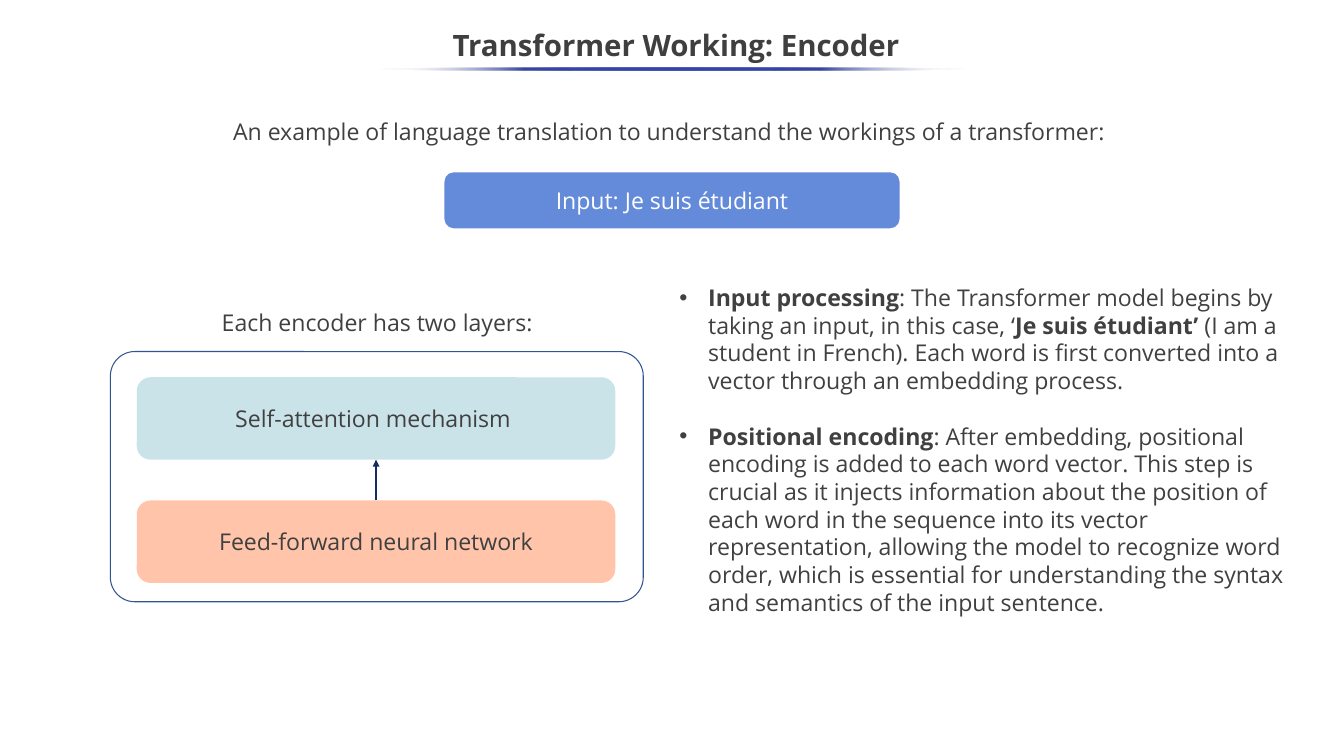
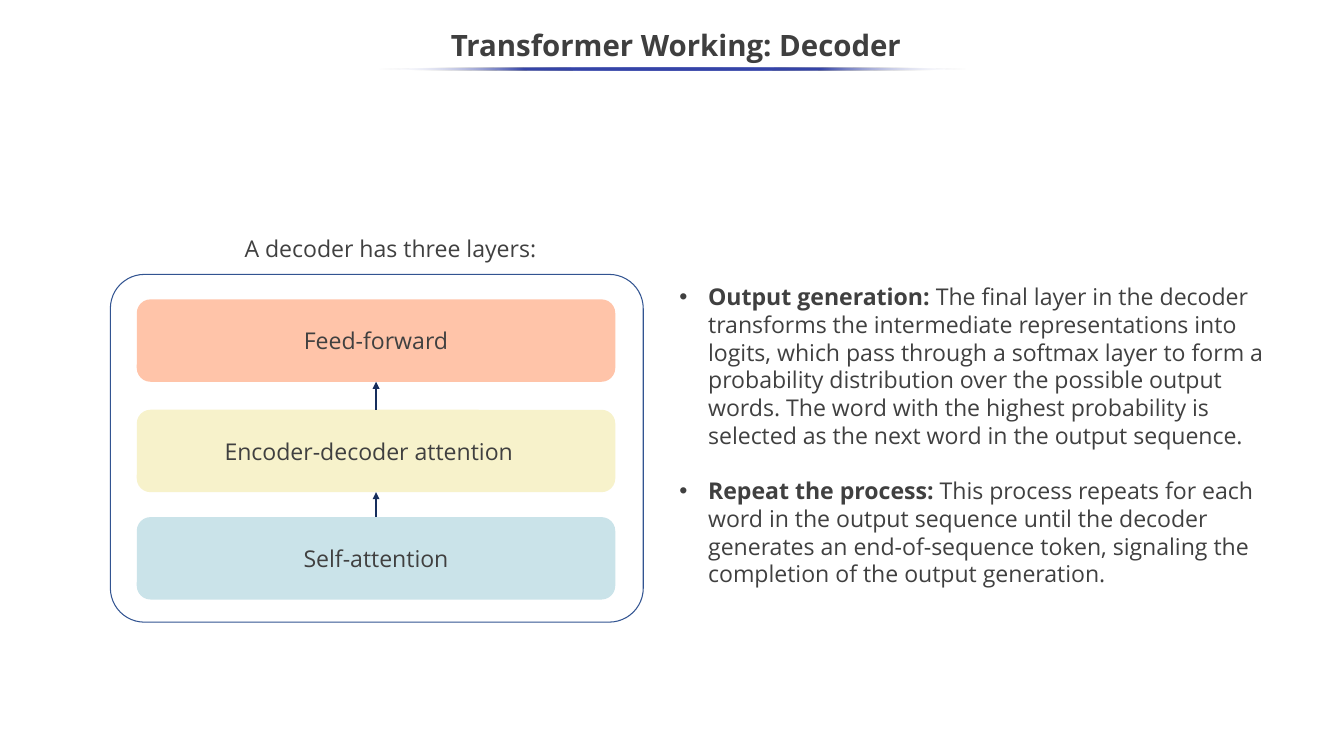
from dataclasses import dataclass

from lxml import etree
from pptx import Presentation
from pptx.dml.color import RGBColor
from pptx.enum import shapes, text
from pptx.oxml import ns, parse_xml
from pptx.util import Inches, Pt


@dataclass(frozen=True)
class Theme:
    font: str = "Open Sans"
    title_size: float = 28
    body_size: float = 22
    paragraph_gap: float = 26.4
    title: str = "3F3F3F"
    body: str = "404040"
    white: str = "FFFFFF"
    underline: str = "3645A9"
    input_fill: str = "648BDA"
    attention: str = "CAE3E9"
    feed_forward: str = "FFC4A9"
    cross_attention: str = "F7F2CB"
    panel_line: str = "325491"
    arrow: str = "162E5D"


THEME = Theme()
CENTER = text.PP_ALIGN.CENTER
MIDDLE = text.MSO_ANCHOR.MIDDLE
TOP = text.MSO_ANCHOR.TOP
LAYER_INSET, LAYER_WIDTH, LAYER_HEIGHT = 0.35, 6.33, 1.09


def color(value):
    return RGBColor.from_string(value)


def place(box):
    return [Inches(length) for length in box]


def add_bullet(paragraph):
    properties = paragraph._p.get_or_add_pPr()
    properties.set("marL", str(Inches(0.38)))
    properties.set("indent", str(-Inches(0.38)))
    bullet_font = etree.SubElement(properties, ns.qn("a:buFont"))
    bullet_font.set("typeface", "Arial")
    etree.SubElement(properties, ns.qn("a:buChar")).set("char", "•")


def write_text(shape, paragraphs, size=THEME.body_size, ink=THEME.body, align=None,
               anchor=TOP, spacing=None, bullets=False, gap=0, right_inset=0.1):
    frame = shape.text_frame
    frame.word_wrap = True
    frame.vertical_anchor = anchor
    frame.margin_right = Inches(right_inset)
    for index, runs in enumerate(paragraphs):
        paragraph = frame.add_paragraph() if index else frame.paragraphs[0]
        if bullets:
            add_bullet(paragraph)
        if align is not None:
            paragraph.alignment = align
        if spacing:
            paragraph.line_spacing = spacing
        if index and gap:
            paragraph.space_before = Pt(gap)
        for content, bold in runs:
            run = paragraph.add_run()
            run.text = content
            run.font.name = THEME.font
            run.font.size = Pt(size)
            run.font.bold = bold
            run.font.color.rgb = color(ink)


def add_text(parent, box, content, bold=False, **style):
    paragraphs = [[(content, bold)]] if isinstance(content, str) else content
    write_text(parent.add_textbox(*place(box)), paragraphs, **style)


def add_block(parent, box, fill=None, line=None, kind=shapes.MSO_SHAPE.ROUNDED_RECTANGLE):
    shape = parent.add_shape(kind, *place(box))
    shape.shadow.inherit = False
    if fill:
        shape.fill.solid()
        shape.fill.fore_color.rgb = color(fill)
    else:
        shape.fill.background()
    if line:
        shape.line.color.rgb = color(line)
        shape.line.width = Pt(1)
    else:
        shape.line.fill.background()
    return shape


def add_label_block(parent, box, label, fill, ink=THEME.body, right_inset=0.1):
    block = add_block(parent, box, fill)
    write_text(block, [[(label, False)]], ink=ink, align=CENTER, anchor=MIDDLE,
               right_inset=right_inset)


def add_arrow(parent, x, start, end):
    arrow = parent.add_connector(shapes.MSO_CONNECTOR.STRAIGHT,
                                 *place((x, start, x, end)))
    arrow.line.color.rgb = color(THEME.arrow)
    arrow.line.width = Pt(2.25)
    head = etree.SubElement(arrow.line._get_or_add_ln(), ns.qn("a:tailEnd"))
    head.set("type", "triangle")
    etree.SubElement(arrow._element.spPr, ns.qn("a:effectLst"))


def add_fading_underline(parent, box):
    underline = add_block(parent, box, THEME.underline, kind=shapes.MSO_SHAPE.OVAL)
    stops = [(0, THEME.white, 0), (25, THEME.underline, 100), (50, THEME.underline, 100),
             (75, THEME.underline, 100), (100, THEME.white, 0)]
    stop_xml = "".join(
        f'<a:gs pos="{position * 1000}"><a:srgbClr val="{value}">'
        f'<a:alpha val="{opacity * 1000}"/></a:srgbClr></a:gs>'
        for position, value, opacity in stops)
    gradient = parse_xml(f'<a:gradFill {ns.nsdecls("a")}><a:gsLst>{stop_xml}</a:gsLst>'
                         '<a:lin ang="10800000" scaled="0"/></a:gradFill>')
    properties = underline._element.spPr
    properties.replace(properties.find(ns.qn("a:solidFill")), gradient)


def add_titled_slide(presentation, title):
    slide = presentation.slides.add_slide(presentation.slide_layouts[6])
    add_text(slide.shapes, (-0.01, 0.25, 17.8, 0.75), " " + title, bold=True,
             size=THEME.title_size, ink=THEME.title, align=CENTER, anchor=MIDDLE,
             spacing=0.9)
    add_fading_underline(slide.shapes, (4.99, 0.89, 7.81, 0.04))
    return slide


def add_layer_diagram(slide, box, caption, caption_box, layers):
    left, top, width, height = box
    parts = slide.shapes.add_group_shape().shapes
    layer_left = left + LAYER_INSET
    for offset, label, fill, right_inset in layers:
        add_label_block(parts, (layer_left, top + offset, LAYER_WIDTH, LAYER_HEIGHT),
                        label, fill, right_inset=right_inset)
    panel = add_block(parts, box, line=THEME.panel_line)
    panel.adjustments[0] = 0.098
    for upper, lower in zip(layers, layers[1:]):
        add_arrow(parts, layer_left + LAYER_WIDTH / 2, top + lower[0],
                  top + upper[0] + LAYER_HEIGHT)
    caption_x, caption_y, caption_width = caption_box
    add_text(parts, (left + caption_x, top + caption_y, caption_width, 0.47), caption,
             align=CENTER)


def add_explanation(slide, box, points):
    add_text(slide.shapes, box, points, bullets=True, gap=THEME.paragraph_gap)


def build_encoder(presentation):
    slide = add_titled_slide(presentation, "Transformer Working: Encoder")
    add_text(slide.shapes, (1.81, 1.45, 14.16, 0.5),
             "An example of language translation to understand the workings of a transformer: ",
             align=CENTER, spacing=1.15)
    add_label_block(slide.shapes, (5.88, 2.28, 6.02, 0.74), "Input: Je suis étudiant",
                    THEME.input_fill, ink=THEME.white)
    add_layer_diagram(
        slide, (1.46, 4.65, 7.05, 3.31), "Each encoder has two layers:", (1.01, -0.62, 5.04),
        [(0.34, "Self-attention mechanism ", THEME.attention, 0.1),
         (1.97, "Feed-forward neural network", THEME.feed_forward, 0.1)])
    add_explanation(slide, (8.89, 3.7, 8.33, 4.54), [
        [("Input processing", True),
         (": The Transformer model begins by taking an input, in this case, ‘", False),
         ("Je suis étudiant’", True),
         (" (I am a student in French). Each word is first converted into a vector "
          "through an embedding process.", False)],
        [("Positional encoding", True),
         (": After embedding, positional encoding is added to each word vector. This step "
          "is crucial as it injects information about the position of each word in the "
          "sequence into its vector representation, allowing the model to recognize word "
          "order, which is essential for understanding the syntax and semantics of the "
          "input sentence.", False)]])


def build_decoder(presentation):
    slide = add_titled_slide(presentation, "Transformer Working: Decoder")
    add_layer_diagram(
        slide, (1.46, 3.63, 7.05, 4.6), "A decoder has three layers:", (0.36, -0.58, 6.69),
        [(0.33, "Feed-forward", THEME.feed_forward, 0.1),
         (1.79, "Encoder-decoder attention", THEME.cross_attention, 0.29),
         (3.21, "Self-attention", THEME.attention, 0.1)])
    add_explanation(slide, (8.89, 3.69, 8.33, 4.54), [
        [("Output generation: ", True),
         ("The final layer in the decoder transforms the intermediate representations into "
          "logits, which pass through a softmax layer to form a probability distribution "
          "over the possible output words. The word with the highest probability is "
          "selected as the next word in the output sequence.", False)],
        [("Repeat the process: ", True),
         ("This process repeats for each word in the output sequence until the decoder "
          "generates an end-of-sequence token, signaling the completion of the output "
          "generation.", False)]])


def main():
    presentation = Presentation()
    presentation.slide_width = Inches(17.78)
    presentation.slide_height = Inches(10)
    build_encoder(presentation)
    build_decoder(presentation)
    presentation.save("out.pptx")


if __name__ == "__main__":
    main()
